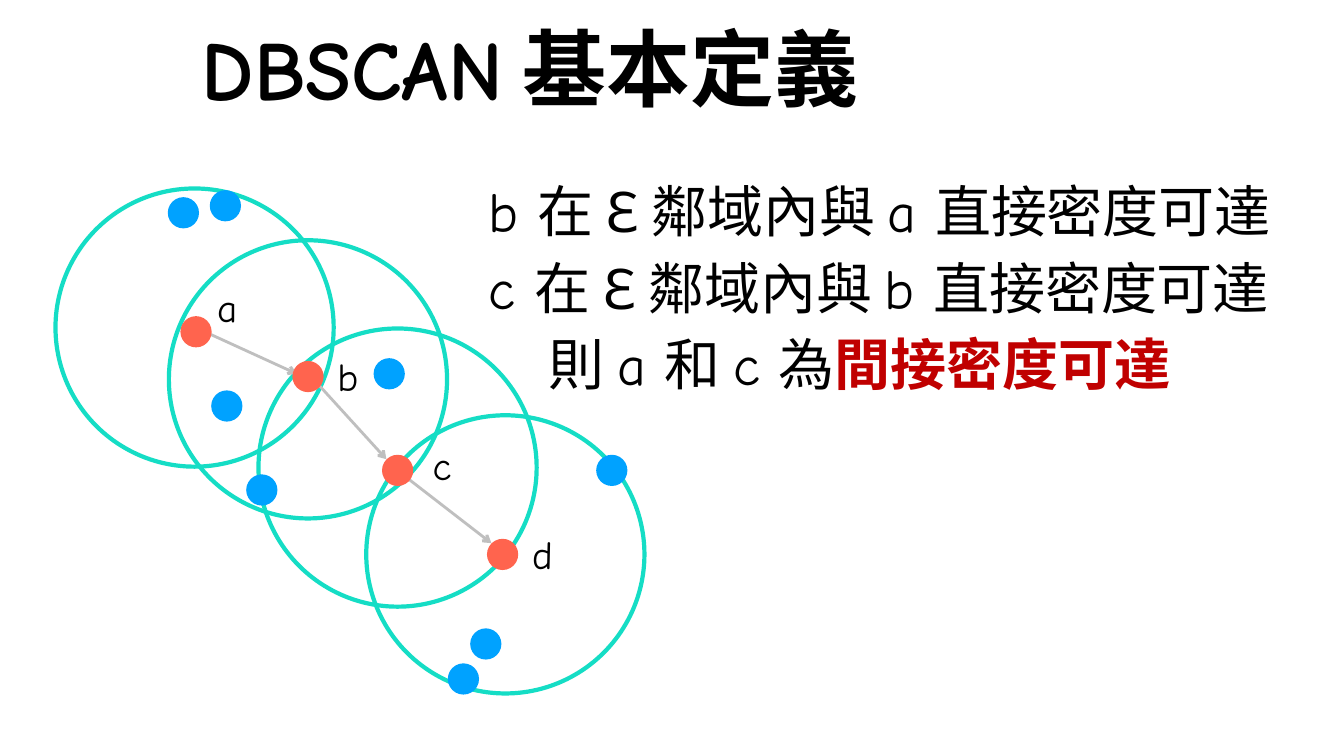
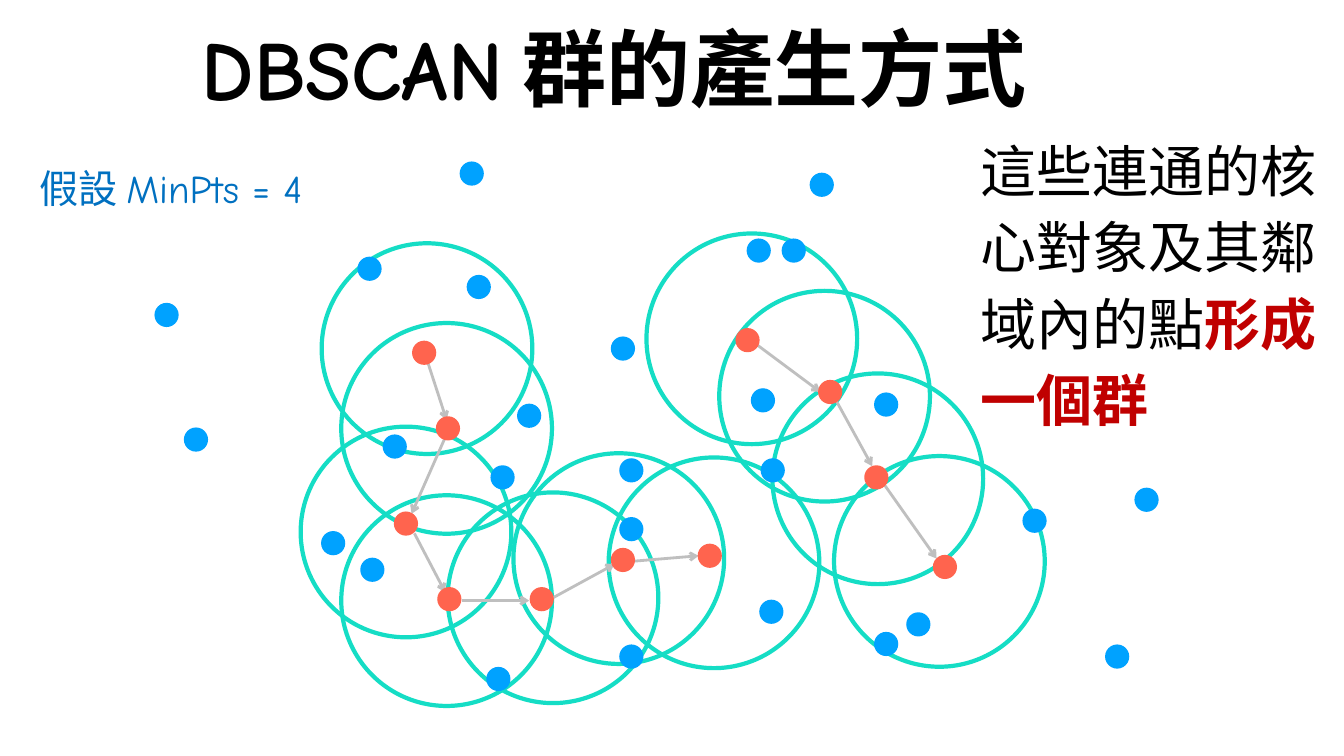
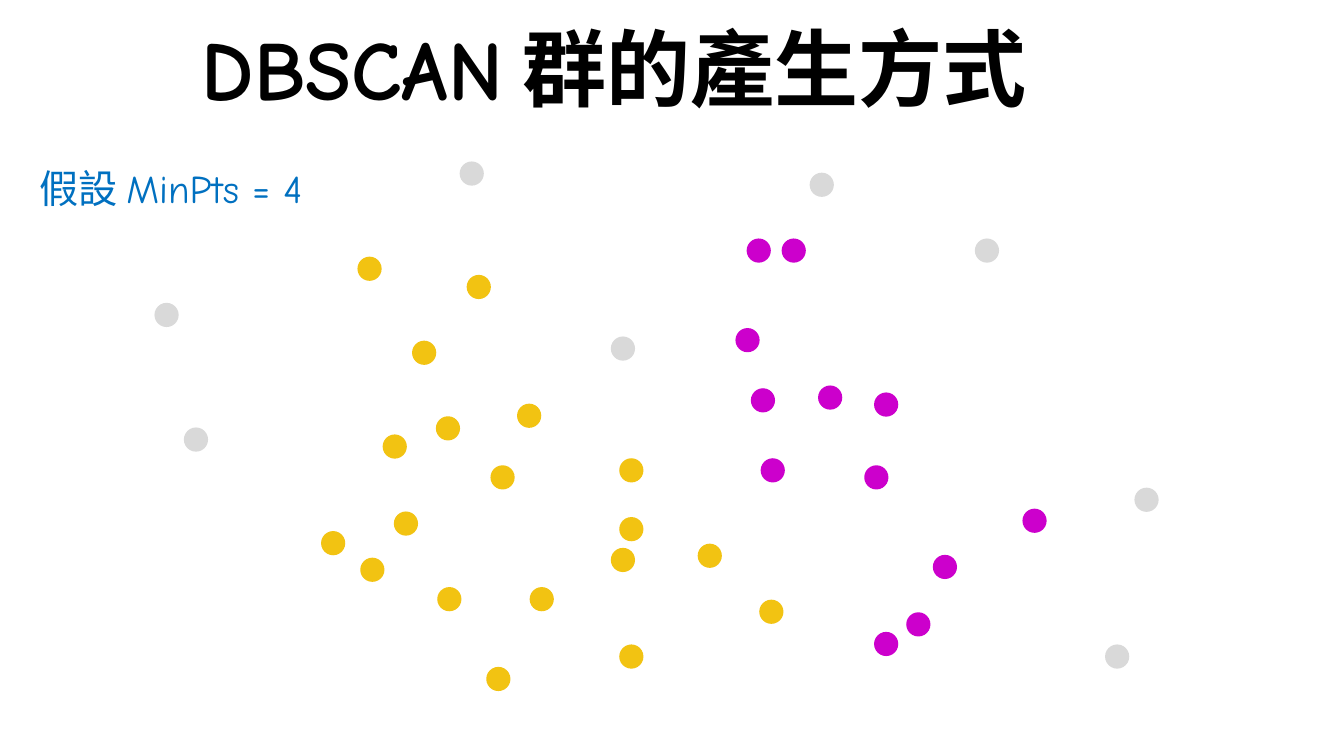
from lxml.etree import SubElement
from pptx import Presentation
from pptx.dml.color import RGBColor
from pptx.enum.shapes import MSO_CONNECTOR as CONN, MSO_SHAPE as SHAPE
from pptx.enum.text import MSO_ANCHOR as ANCHOR, MSO_AUTO_SIZE as AUTO, PP_ALIGN as ALIGN
from pptx.oxml.ns import qn
from pptx.util import Pt

COLORS = {
    "text": "000000", "accent": "C00000", "note": "0070C0",
    "ring": "15DDC5", "arrow": "BFBFBF", "core": "FF644E", "point": "00A2FF",
    "noise": "D9D9D9", "left": "F2C312", "right": "CC00CC",
}
LATIN, CJK = "Comic Neue", "Noto Sans CJK SC"

# Definition example: centres in points
CHAIN = {"a": (140, 237), "b": (220, 269), "c": (284, 336), "d": (359, 396)}
CHAIN_LABELS = {"a": (148, 199), "b": (234, 248), "c": (302, 312), "d": (373, 375)}
CHAIN_RINGS = [(139, 234), (220, 271), (284, 334), (361, 396)]
CHAIN_POINTS = [(347, 460), (331, 485), (437, 336), (187, 350),
                (278, 267), (162, 290), (131, 152), (161, 147)]
CHAIN_ARROWS = [(142, 235, 212, 267), (225, 272, 276, 328), (289, 340, 351, 388)]

# Clustering example: centres in points
NOISE = [(445, 249), (587, 132), (337, 124), (119, 225),
         (819, 357), (798, 469), (140, 314)]
FAR_NOISE = (705, 179)
LEFT_POINTS = [(342, 205), (264, 192), (378, 297), (359, 341), (282, 319), (238, 388),
               (266, 407), (356, 485), (451, 336), (451, 378), (451, 469), (551, 437)]
RIGHT_POINTS = [(542, 179), (567, 179), (633, 289), (552, 336),
                (633, 460), (656, 446), (739, 372), (545, 286)]
LEFT_CORES = [(303, 252), (320, 306), (290, 374), (321, 428),
              (387, 428), (445, 400), (507, 397)]
RIGHT_CORES = [(534, 243), (593, 280), (626, 341), (675, 405)]
RIGHT_CORES_FINAL = [(534, 243), (593, 284), (626, 341), (675, 405)]
CLUSTER_RINGS = [(305, 249), (319, 306), (290, 380), (319, 429), (395, 427), (537, 242),
                 (442, 399), (510, 402), (589, 283), (627, 342), (671, 401)]
CLUSTER_ARROWS = [(305, 257, 319, 300), (320, 308, 294, 367), (296, 381, 318, 423),
                  (330, 429, 378, 429), (395, 427, 439, 403), (451, 401, 499, 397),
                  (539, 245, 586, 280), (595, 282, 623, 333), (628, 341, 669, 399)]
CHAIN_DOT, CHAIN_RING = 22.3, 198.7
CLUSTER_DOT, CLUSTER_RING = 17.3, 150.5


def rgb(name):
    return RGBColor.from_string(COLORS[name])


def add_run(p, text, size, color="text", font=LATIN, bold=False):
    r = p.add_run()
    r.text = text
    r.font.size = Pt(size)
    r.font.bold = bold
    r.font.color.rgb = rgb(color)
    r.font.name = font
    SubElement(r._r.get_or_add_rPr(), qn("a:ea")).set("typeface", CJK)


def add_slide(prs, topic, width):
    """Title-only slide whose title reads DBSCAN and a topic."""
    s = prs.slides.add_slide(prs.slide_layouts[5])
    title = s.shapes.title
    title.left, title.top, title.width, title.height = Pt(137), Pt(19.5), Pt(width), Pt(65.5)
    tf = title.text_frame
    tf.word_wrap = True
    tf.auto_size = AUTO.NONE
    tf.vertical_anchor = ANCHOR.MIDDLE
    p = tf.paragraphs[0]
    p.alignment = ALIGN.LEFT
    p.line_spacing = 0.9
    add_run(p, "DBSCAN", 60, bold=True)
    add_run(p, " ", 40, bold=True)
    add_run(p, topic, 60, font=CJK, bold=True)
    return s


def add_text(s, box, paragraphs, size, spacing=None):
    """Text box; each paragraph is a list of (text, run options)."""
    tf = s.shapes.add_textbox(*map(Pt, box)).text_frame
    tf.word_wrap = True
    tf.auto_size = AUTO.SHAPE_TO_FIT_TEXT
    for i, runs in enumerate(paragraphs):
        p = tf.add_paragraph() if i else tf.paragraphs[0]
        p.line_spacing = spacing
        for text, options in runs:
            add_run(p, text, size, **options)
    return tf


def add_circle(s, center, diameter):
    x, y = center
    corner = Pt(x - diameter / 2), Pt(y - diameter / 2)
    sp = s.shapes.add_shape(SHAPE.OVAL, *corner, Pt(diameter), Pt(diameter))
    sp.shadow.inherit = False
    return sp


def add_rings(s, centers, diameter):
    for center in centers:
        sp = add_circle(s, center, diameter)
        sp.fill.background()
        sp.line.color.rgb = rgb("ring")
        sp.line.width = Pt(3)


def add_dots(s, centers, diameter, color):
    for center in centers:
        sp = add_circle(s, center, diameter)
        sp.fill.solid()
        sp.fill.fore_color.rgb = rgb(color)
        sp.line.fill.background()


def add_arrows(s, arrows):
    for ends in arrows:
        line = s.shapes.add_connector(CONN.STRAIGHT, *map(Pt, ends))
        line.line.color.rgb = rgb("arrow")
        line.line.width = Pt(2)
        SubElement(line.line._get_or_add_ln(), qn("a:tailEnd")).set("type", "arrow")
        SubElement(line._element.spPr, qn("a:effectLst"))


def add_assumption(s):
    runs = [("假設 ", {"color": "note", "font": CJK}), ("MinPts = 4", {"color": "note"})]
    add_text(s, (21, 114, 220, 41), [runs], 28)


def reachable(target, source):
    return [(f"{target} 在 ", {}), ("Ɛ ", {"font": CJK}),
            (f"鄰域內與 {source} 直接密度可達", {})]


def definition_slide(prs):
    s = add_slide(prs, "基本定義", 548)
    add_rings(s, CHAIN_RINGS, CHAIN_RING)
    add_dots(s, CHAIN_POINTS, CHAIN_DOT, "point")
    add_arrows(s, CHAIN_ARROWS)
    add_dots(s, CHAIN.values(), CHAIN_DOT, "core")
    for name, corner in CHAIN_LABELS.items():
        add_text(s, (*corner, 42, 41), [[(name, {})]], 28)
    conclusion = [("則 a 和 c 為", {}), ("間接密度可達", {"color": "accent", "bold": True})]
    tf = add_text(s, (342, 116, 615, 169),
                  [reachable("b", "a"), reachable("c", "b"), conclusion], 40, 1.14)
    # First-line indent of the conclusion
    tf.paragraphs[-1]._p.get_or_add_pPr().set("indent", str(Pt(43)))


def growth_slide(prs):
    s = add_slide(prs, "群的產生方式", 748)
    add_rings(s, CLUSTER_RINGS, CLUSTER_RING)
    add_dots(s, NOISE + LEFT_POINTS + RIGHT_POINTS, CLUSTER_DOT, "point")
    add_arrows(s, CLUSTER_ARROWS)
    add_assumption(s)
    add_dots(s, LEFT_CORES + RIGHT_CORES, CLUSTER_DOT, "core")
    runs = [("這些連通的核心對象及其鄰域內的點", {"font": CJK}),
            ("形成一個群", {"font": CJK, "color": "accent", "bold": True})]
    add_text(s, (693.5, 87, 263, 224), [runs], 40, 1.14)


def result_slide(prs):
    s = add_slide(prs, "群的產生方式", 748)
    add_dots(s, NOISE + [FAR_NOISE], CLUSTER_DOT, "noise")
    add_dots(s, LEFT_POINTS + LEFT_CORES, CLUSTER_DOT, "left")
    add_dots(s, RIGHT_POINTS + RIGHT_CORES_FINAL, CLUSTER_DOT, "right")
    add_assumption(s)


def main():
    prs = Presentation()
    prs.slide_width, prs.slide_height = Pt(960), Pt(540)
    definition_slide(prs)
    growth_slide(prs)
    result_slide(prs)
    prs.save("out.pptx")


if __name__ == "__main__":
    main()
